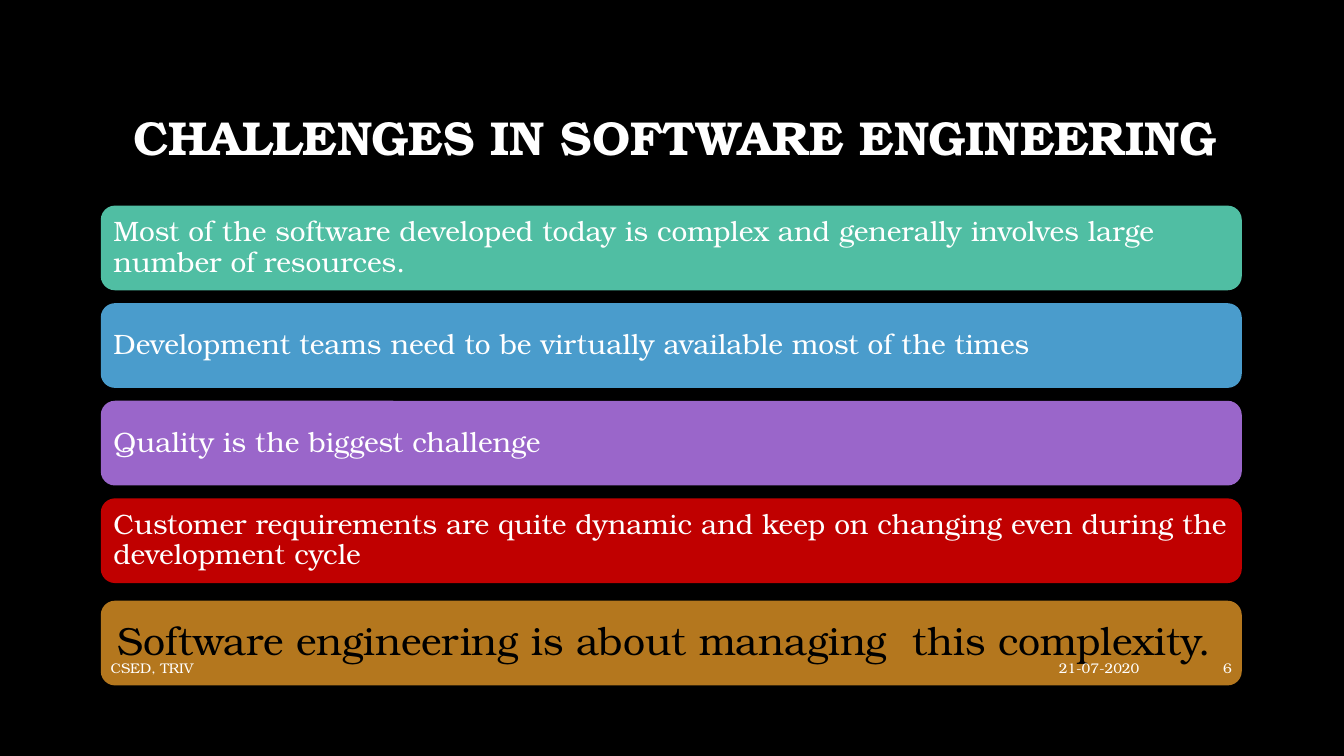
from dataclasses import dataclass

from pptx import Presentation
from pptx.dml.color import RGBColor
from pptx.enum import shapes, text
from pptx.util import Pt

FONT = "TeX Gyre Bonum"
WHITE, BLACK = "FFFFFF", "000000"
LEFT, WIDTH = 72, 815
TOP, PITCH, HEIGHT = 146.9, 69.7, 60.5


@dataclass
class Bar:
    words: str
    fill: str
    size: float = 20
    ink: str = WHITE
    inset: float = 6
    drop: float = 0


@dataclass
class Label:
    words: str
    box: tuple[float, float, float, float]
    size: float = 10
    align: text.PP_ALIGN = text.PP_ALIGN.LEFT
    bold: bool = False
    lead: float = 1.0


BARS = [
    Bar("Most of the software developed today is complex and generally "
        "involves large number of resources.", "50BEA3"),
    Bar("Development teams need to be virtually available most of the times",
        "4A9CCC"),
    Bar("Quality is the biggest challenge", "9A66CA"),
    Bar("Customer requirements are quite dynamic and keep on changing even "
        "during the development cycle", "C00000"),
    Bar("Software engineering is about managing  this complexity.", "B4771E",
        size=28, ink=BLACK, inset=9, drop=3.4),
]

RIGHT, MIDDLE = text.PP_ALIGN.RIGHT, text.PP_ALIGN.CENTER
LABELS = [
    Label("CHALLENGES IN SOFTWARE ENGINEERING ", (LEFT, 48.2, 832.3, 104.4),
          34, MIDDLE, True, 0.9),
    Label("21-07-2020", (604.8, 463, 216, 28.8), align=RIGHT),
    Label("CSED, TRIV", (LEFT, 463, 525.6, 28.8)),
    Label("6", (828, 463, 59, 28.8), align=RIGHT),
]


def paint(fill, shade: str) -> None:
    fill.solid()
    fill.fore_color.rgb = RGBColor.from_string(shade)


def write(shape, words: str, size: float, ink: str, align: text.PP_ALIGN,
          lead: float, bold: bool = False) -> None:
    frame = shape.text_frame
    frame.word_wrap = True
    frame.vertical_anchor = text.MSO_ANCHOR.MIDDLE
    para = frame.paragraphs[0]
    para.alignment = align
    para.line_spacing = lead
    run = para.add_run()
    run.text = words
    run.font.name = FONT
    run.font.size = Pt(size)
    run.font.bold = bold
    paint(run.font.fill, ink)


def add_bar(slide, bar: Bar, top: float) -> None:
    shape = slide.shapes.add_shape(
        shapes.MSO_SHAPE.ROUNDED_RECTANGLE,
        Pt(LEFT), Pt(top), Pt(WIDTH), Pt(HEIGHT))
    shape.shadow.inherit = False
    shape.line.fill.background()
    paint(shape.fill, bar.fill)
    frame = shape.text_frame
    frame.margin_left = frame.margin_right = Pt(bar.inset)
    frame.margin_top = frame.margin_bottom = Pt(bar.inset)
    write(shape, bar.words, bar.size, bar.ink, text.PP_ALIGN.LEFT, 0.9)


def add_label(slide, label: Label) -> None:
    box = slide.shapes.add_textbox(*map(Pt, label.box))
    write(box, label.words, label.size, WHITE, label.align, label.lead,
          label.bold)


def main() -> None:
    deck = Presentation()
    deck.slide_width, deck.slide_height = Pt(960), Pt(540)
    slide = deck.slides.add_slide(deck.slide_layouts[6])
    paint(slide.background.fill, BLACK)

    # Challenge bars at an even pitch
    for row, bar in enumerate(BARS):
        add_bar(slide, bar, TOP + row * PITCH + bar.drop)

    # Title and footer
    for label in LABELS:
        add_label(slide, label)

    deck.save("out.pptx")


if __name__ == "__main__":
    main()
